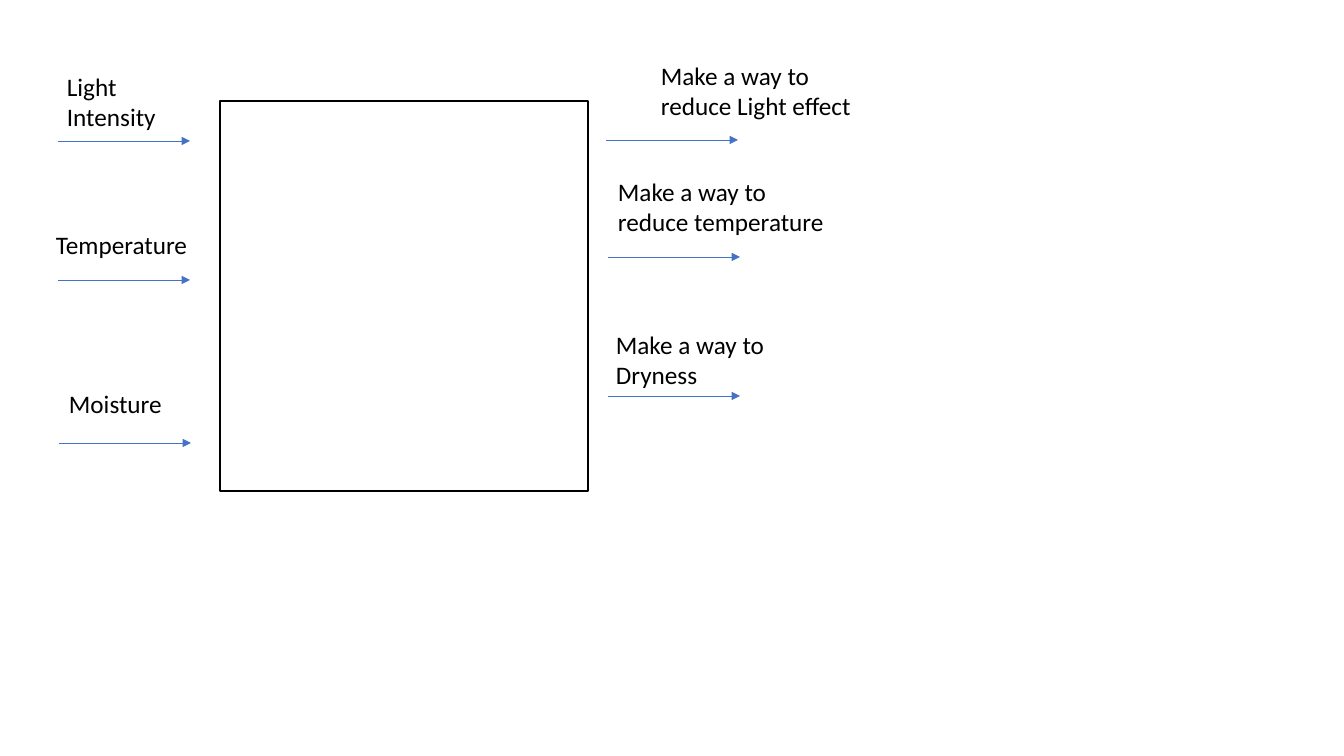
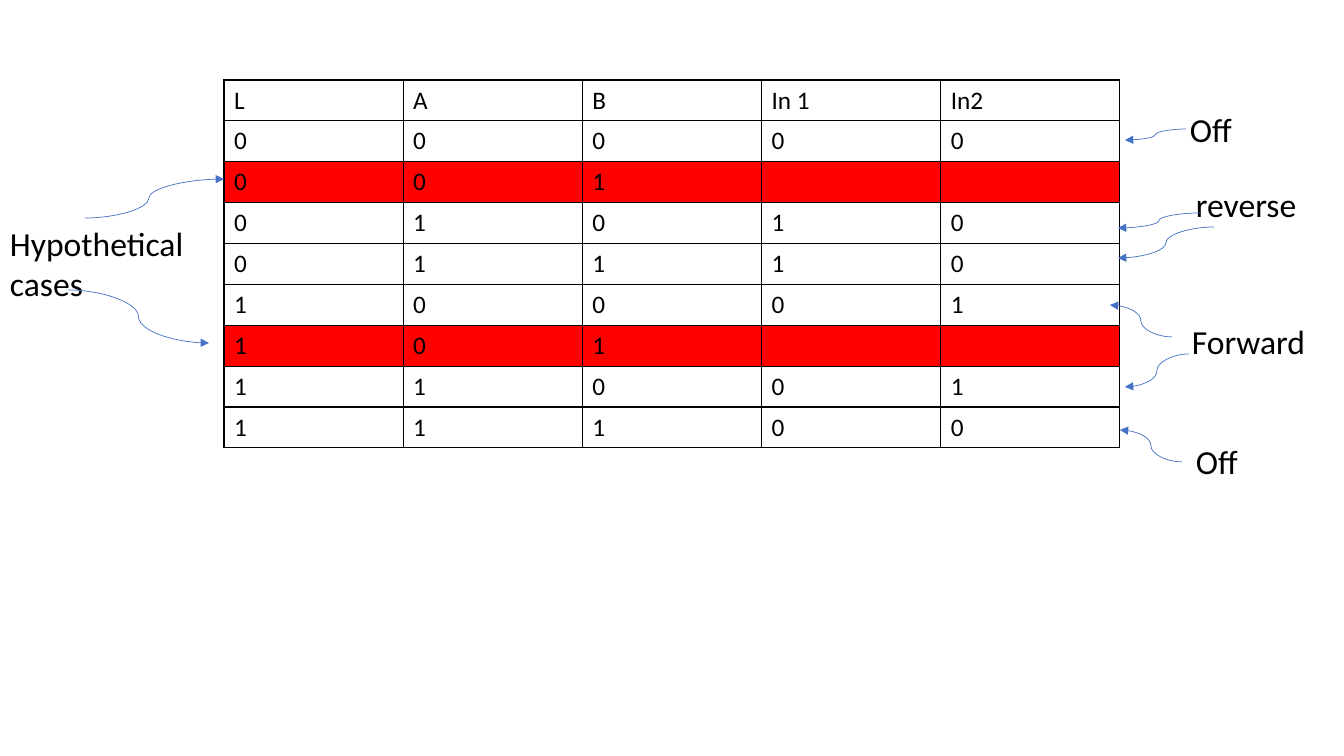
import pptx
import pptx.dml.color
import pptx.enum.shapes
import pptx.enum.text
import pptx.oxml
import pptx.oxml.ns
import pptx.util
from lxml import etree

PX = 914400 / 100.8
FONT = "Calibri"
BLACK = pptx.dml.color.RGBColor(0x00, 0x00, 0x00)
WHITE = pptx.dml.color.RGBColor(0xFF, 0xFF, 0xFF)
BLUE = pptx.dml.color.RGBColor(0x44, 0x72, 0xC4)
RED = pptx.dml.color.RGBColor(0xFF, 0x00, 0x00)
STRAIGHT = pptx.enum.shapes.MSO_CONNECTOR.STRAIGHT
CURVE = pptx.enum.shapes.MSO_CONNECTOR.CURVE
qn = pptx.oxml.ns.qn


def add_label(slide, lines, box, size):
    shape = slide.shapes.add_textbox(*[round(length * PX) for length in box])
    frame = shape.text_frame
    frame.word_wrap = True
    frame.auto_size = pptx.enum.text.MSO_AUTO_SIZE.SHAPE_TO_FIT_TEXT
    for index, line in enumerate(lines):
        paragraph = frame.add_paragraph() if index else frame.paragraphs[0]
        run = paragraph.add_run()
        run.text = line
        run.font.name = FONT
        run.font.size = pptx.util.Pt(size)
        run.font.color.rgb = BLACK


def add_arrow(slide, kind, ends, bend=50000):
    connector = slide.shapes.add_connector(kind, *[round(length * PX) for length in ends])
    connector.line.color.rgb = BLUE
    connector.line.width = pptx.util.Pt(0.5)
    properties = connector.element.spPr
    etree.SubElement(properties.find(qn("a:ln")), qn("a:tailEnd"), type="triangle")
    etree.SubElement(properties, qn("a:effectLst"))
    if kind == CURVE:
        geometry = properties.find(qn("a:prstGeom"))
        adjustments = geometry.find(qn("a:avLst"))
        etree.SubElement(adjustments, qn("a:gd"), name="adj1", fmla=f"val {bend}")


presentation = pptx.Presentation()
presentation.slide_width = round(1344 * PX)
presentation.slide_height = round(756 * PX)
blank_layout = presentation.slide_layouts[6]

system_slide = presentation.slides.add_slide(blank_layout)
system_box = system_slide.shapes.add_shape(
    pptx.enum.shapes.MSO_SHAPE.RECTANGLE,
    *[round(length * PX) for length in (220, 101, 368, 390)],
)
system_box.shadow.inherit = False
system_box.fill.solid()
system_box.fill.fore_color.rgb = WHITE
system_box.line.color.rgb = BLACK
system_box.line.width = pptx.util.Pt(1)

ARROW_LENGTH = 132
for left, top in [(58, 141), (58, 280), (59, 443), (606, 140), (608, 257), (608, 396)]:
    add_arrow(system_slide, STRAIGHT, (left, top, left + ARROW_LENGTH, top))

for lines, box in [
    (["Light", "Intensity"], (57, 66, 173, 71)),
    (["Temperature"], (46, 224, 173, 40)),
    (["Moisture"], (59, 383, 173, 40)),
    (["Make a way to reduce Light effect"], (651, 55, 231, 71)),
    (["Make a way to reduce temperature"], (608, 171, 231, 71)),
    (["Make a way to Dryness"], (606, 324, 231, 71)),
]:
    add_label(system_slide, lines, box, 18)

truth_slide = presentation.slides.add_slide(blank_layout)
truth_rows = [
    ["L", "A", "B", "In 1", "In2"],
    ["0", "0", "0", "0", "0"],
    ["0", "0", "1", "", ""],
    ["0", "1", "0", "1", "0"],
    ["0", "1", "1", "1", "0"],
    ["1", "0", "0", "0", "1"],
    ["1", "0", "1", "", ""],
    ["1", "1", "0", "0", "1"],
    ["1", "1", "1", "0", "0"],
]
table = truth_slide.shapes.add_table(
    len(truth_rows), len(truth_rows[0]),
    *[round(length * PX) for length in (224, 80, 896, 368)],
).table
table.first_row = False
table.horz_banding = False
for row_index, values in enumerate(truth_rows):
    hypothetical = "" in values
    for column_index, value in enumerate(values):
        cell = table.cell(row_index, column_index)
        cell.fill.solid()
        cell.fill.fore_color.rgb = RED if hypothetical else WHITE
        if value:
            run = cell.text_frame.paragraphs[0].add_run()
            run.text = value
            run.font.name = FONT
            run.font.size = pptx.util.Pt(18)
            run.font.color.rgb = BLACK
        cell_properties = cell._tc.get_or_add_tcPr()
        for position, side in enumerate(["a:lnL", "a:lnR", "a:lnT", "a:lnB"]):
            border = etree.Element(qn(side), w=str(pptx.util.Pt(1)))
            border_fill = etree.SubElement(border, qn("a:solidFill"))
            etree.SubElement(border_fill, qn("a:srgbClr"), val=str(BLACK))
            cell_properties.insert(position, border)

for text, box in [
    ("Hypothetical cases", (0, 218, 196, 92)),
    ("Off", (1180, 104, 196, 50)),
    ("reverse", (1186, 179, 196, 50)),
    ("Forward", (1182, 316, 196, 50)),
    ("Off", (1186, 436, 196, 50)),
]:
    add_label(truth_slide, [text], box, 24)

add_arrow(truth_slide, CURVE, (85, 218, 224, 179), bend=45800)
for ends in [
    (68, 290, 209, 343),
    (1186, 129, 1125, 140),
    (1200, 213, 1118, 228),
    (1214, 227, 1118, 258),
    (1172, 337, 1110, 305),
    (1189, 354, 1125, 387),
    (1182, 462, 1120, 430),
]:
    add_arrow(truth_slide, CURVE, ends)

presentation.save("out.pptx")
